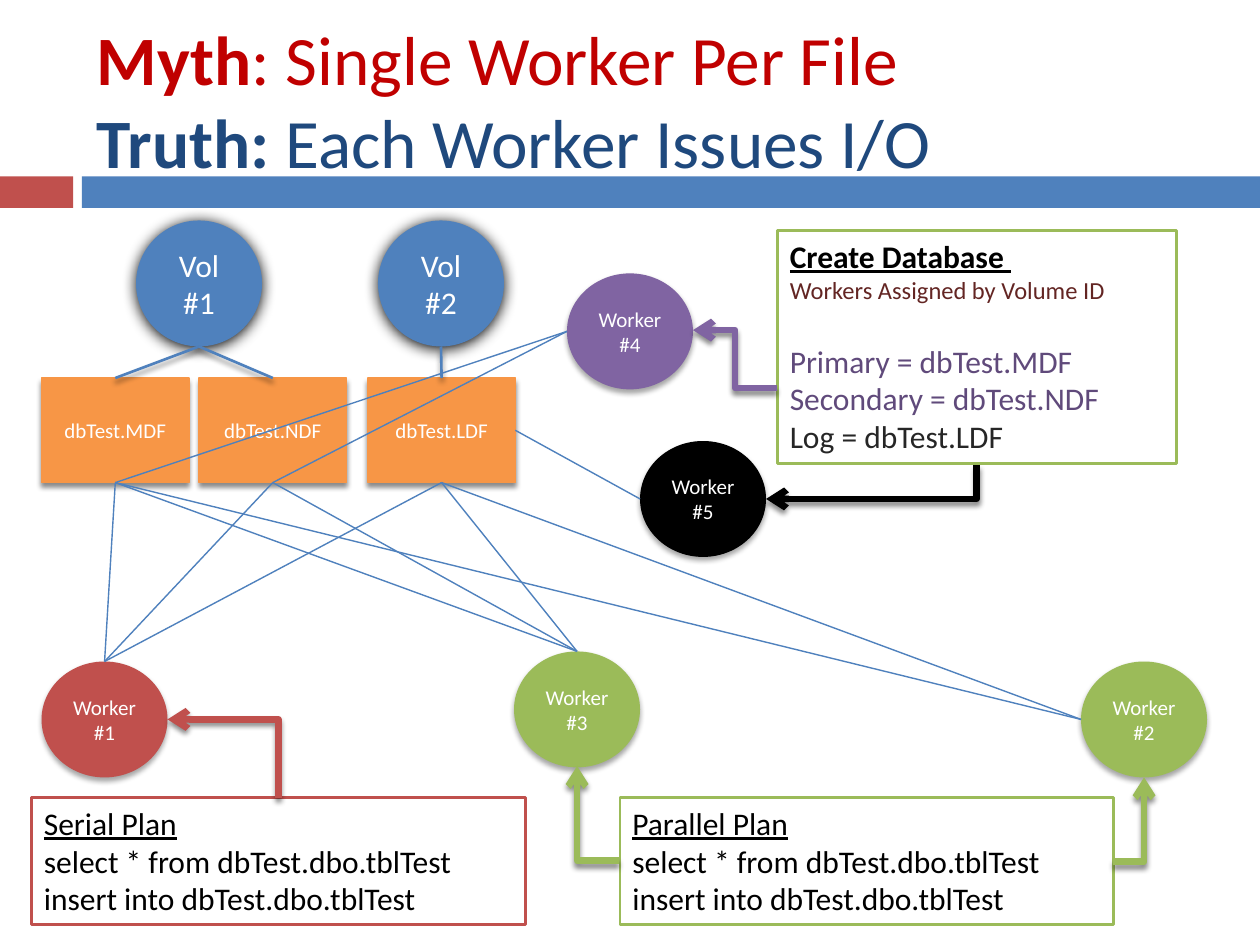
from dataclasses import dataclass

from lxml import etree
from pptx import Presentation
from pptx.dml.color import RGBColor
from pptx.enum.shapes import MSO_CONNECTOR, MSO_SHAPE
from pptx.enum.text import MSO_ANCHOR, PP_ALIGN
from pptx.oxml.ns import qn
from pptx.util import Inches, Pt

OVAL, RECTANGLE = MSO_SHAPE.OVAL, MSO_SHAPE.RECTANGLE
STRAIGHT, ELBOW = MSO_CONNECTOR.STRAIGHT, MSO_CONNECTOR.ELBOW
TOP, MIDDLE = MSO_ANCHOR.TOP, MSO_ANCHOR.MIDDLE
LEFT, CENTER = PP_ALIGN.LEFT, PP_ALIGN.CENTER

WHITE = RGBColor(0xFF, 0xFF, 0xFF)
BLACK = RGBColor(0x00, 0x00, 0x00)
CHARCOAL = RGBColor(0x26, 0x26, 0x26)
RED = RGBColor(0xC0, 0x50, 0x4D)
MYTH_RED = RGBColor(0xC0, 0x00, 0x00)
MAROON = RGBColor(0x63, 0x25, 0x23)
BLUE = RGBColor(0x4F, 0x81, 0xBD)
NAVY = RGBColor(0x1F, 0x49, 0x7D)
ORANGE = RGBColor(0xF7, 0x96, 0x46)
GREEN = RGBColor(0x9B, 0xBB, 0x59)
PURPLE = RGBColor(0x80, 0x64, 0xA2)
DARK_PURPLE = RGBColor(0x60, 0x4A, 0x7B)

FONT = "Calibri"
THIN, MEDIUM, THICK = 0.79, 1.5, 3.75


@dataclass(frozen=True)
class Shadow:
    """Downward outer shadow: opacity in percent, lengths in points."""
    opacity: int
    blur: float
    distance: float


@dataclass(frozen=True)
class Run:
    """Stretch of text in one format."""
    text: str
    size: float = 18
    color: RGBColor = BLACK
    bold: bool = False
    underline: bool = False


@dataclass(frozen=True)
class Line:
    """One line of text with the gap below it in points."""
    runs: tuple[Run, ...]
    gap: float = 0


@dataclass(frozen=True)
class Box:
    """Position and size in inches."""
    left: float
    top: float
    width: float
    height: float


@dataclass(frozen=True)
class Node:
    """Labelled shape of the diagram."""
    label: str
    box: Box
    color: RGBColor


@dataclass(frozen=True)
class Arrow:
    """Elbow arrow, given by its frame before rotation."""
    box: Box
    color: RGBColor
    rotation: int = 0
    flip: bool = False
    preset: str = "bentConnector2"


WORKER_SHADOW = Shadow(35, 3, 2)
VOLUME_SHADOW = Shadow(100, 8.5, 1)
EDGE_SHADOW = Shadow(45, 3, 2.4)

VOLUMES = [Node(f"Vol #{number}", Box(left, 1.75, 1, 1), BLUE)
           for number, left in ((1, 1.08), (2, 3))]
FILES = [Node(f"dbTest.{extension}", Box(left, 3, 1.17, 0.83), ORANGE)
         for extension, left in (("MDF", 0.33), ("NDF", 1.58), ("LDF", 2.92))]
WORKERS = [Node(f"Worker #{number}", Box(left, top, 1, 0.92), color)
           for number, left, top, color in (
               (1, 0.33, 5.25, RED), (2, 8.58, 5.25, GREEN), (3, 4.08, 5.17, GREEN),
               (4, 4.5, 2.17, PURPLE), (5, 5.08, 3.5, BLACK))]

TITLE = [
    Line((Run("Myth", 39.6, MYTH_RED, True), Run(": Single Worker Per File", 39.6, MYTH_RED))),
    Line((Run("Truth: ", 39.6, NAVY, True), Run("Each Worker Issues I/O", 39.6, NAVY))),
]
QUERY = [Line((Run("select * from dbTest.dbo.tblTest"),)),
         Line((Run("insert into dbTest.dbo.tblTest"),))]
CREATION = [
    Line((Run("Create Database ", bold=True, underline=True),)),
    Line((Run("Workers Assigned by Volume ID", 14, MAROON),), 21.5),
    Line((Run("Primary = dbTest.MDF", color=DARK_PURPLE),)),
    Line((Run("Secondary = dbTest.NDF", color=DARK_PURPLE),)),
    Line((Run("Log = dbTest.LDF", color=CHARCOAL),)),
]
PANELS = [
    (Box(0.25, 6.33, 3.92, 1.01), RED, [Line((Run("Serial Plan", underline=True),)), *QUERY]),
    (Box(4.92, 6.33, 3.92, 1.01), GREEN, [Line((Run("Parallel Plan", underline=True),)), *QUERY]),
    (Box(6.17, 1.83, 3.17, 1.85), GREEN, CREATION),
]
ARROWS = [
    Arrow(Box(1.46, 5.58, 0.62, 0.88), RED, 270, True),
    Arrow(Box(8.83, 6.17, 0.25, 0.67), GREEN, 0, True),
    Arrow(Box(4.58, 6.08, 0.33, 0.75), GREEN, 180),
    Arrow(Box(5.5, 2.62, 0.67, 0.46), PURPLE, 180, False, "bentConnector3"),
    Arrow(Box(6.78, 2.99, 0.27, 1.67), BLACK, 90),
]
VOLUME_LINKS = {"Vol #1": ("MDF", "NDF"), "Vol #2": ("LDF",)}
WORKER_LINKS = [
    ("Worker #1", "top", ("MDF", "NDF", "LDF"), "bottom"),
    ("Worker #3", "top", ("MDF", "NDF", "LDF"), "bottom"),
    ("Worker #4", "left", ("MDF", "NDF"), "bottom"),
    ("Worker #2", "left", ("MDF", "LDF"), "bottom"),
    ("Worker #5", "left", ("LDF",), "right"),
]
SIDES = {"top": (0.5, 0), "bottom": (0.5, 1), "left": (0, 0.5), "right": (1, 0.5)}


def frame(box: Box) -> tuple:
    """Return the box as lengths."""
    return Inches(box.left), Inches(box.top), Inches(box.width), Inches(box.height)


def anchor(box: Box, side: str) -> tuple:
    """Return the middle of one side of the box."""
    across, down = SIDES[side]
    return Inches(box.left + across * box.width), Inches(box.top + down * box.height)


def add_shadow(effects, shadow: Shadow) -> None:
    """Fill an effect list with an outer shadow."""
    outer = etree.SubElement(effects, qn("a:outerShdw"), blurRad=str(Pt(shadow.blur)),
                             dist=str(Pt(shadow.distance)), dir="5400000", rotWithShape="0")
    color = etree.SubElement(outer, qn("a:srgbClr"), val=str(BLACK))
    etree.SubElement(color, qn("a:alpha"), val=str(shadow.opacity * 1000))


def write_lines(shape, lines: list[Line], alignment=LEFT, vertical=TOP) -> None:
    """Write formatted lines into a shape."""
    text_frame = shape.text_frame
    text_frame.word_wrap = True
    text_frame.vertical_anchor = vertical
    for index, line in enumerate(lines):
        paragraph = text_frame.add_paragraph() if index else text_frame.paragraphs[0]
        paragraph.alignment = alignment
        paragraph.space_after = Pt(line.gap)
        for part in line.runs:
            run = paragraph.add_run()
            run.text = part.text
            run.font.color.rgb = part.color
            values = {"name": FONT, "size": Pt(part.size), "bold": part.bold,
                      "underline": part.underline}
            for name, value in values.items():
                setattr(run.font, name, value)


def add_block(slide, kind, box: Box, fill: RGBColor, outline: RGBColor | None = None,
              width: float = THIN, shadow: Shadow | None = None):
    """Add a filled shape with optional outline and shadow."""
    shape = slide.shapes.add_shape(kind, *frame(box))
    shape.fill.solid()
    shape.fill.fore_color.rgb = fill
    if outline is None:
        shape.line.fill.background()
    else:
        shape.line.color.rgb = outline
        shape.line.width = Pt(width)
    shape.shadow.inherit = False
    if shadow:
        add_shadow(shape._element.spPr.find(qn("a:effectLst")), shadow)
    return shape


def add_nodes(slide, nodes: list[Node], kind, size: float, shadow: Shadow,
              outline: RGBColor | None = None) -> None:
    """Add a family of centred, labelled shapes."""
    for node in nodes:
        shape = add_block(slide, kind, node.box, node.color, outline, shadow=shadow)
        write_lines(shape, [Line((Run(node.label, size, WHITE),))], CENTER, MIDDLE)


def add_link(slide, kind, start: tuple, end: tuple, color: RGBColor, width: float,
             shadow: Shadow | None = None):
    """Add a connector between two points."""
    connector = slide.shapes.add_connector(kind, *start, *end)
    connector.line.color.rgb = color
    connector.line.width = Pt(width)
    effects = etree.SubElement(connector._element.spPr, qn("a:effectLst"))
    if shadow:
        add_shadow(effects, shadow)
    return connector


def add_arrow(slide, arrow: Arrow) -> None:
    """Add an elbow connector with an open arrowhead."""
    left, top, width, height = frame(arrow.box)
    connector = add_link(slide, ELBOW, (left, top), (left + width, top + height),
                         arrow.color, THICK, EDGE_SHADOW)
    properties = connector._element.spPr
    properties.find(qn("a:prstGeom")).set("prst", arrow.preset)
    transform = properties.find(qn("a:xfrm"))
    transform.set("rot", str(arrow.rotation * 60000))
    transform.set("flipV", str(int(arrow.flip)))
    etree.SubElement(properties.find(qn("a:ln")), qn("a:tailEnd"), type="arrow")


def main() -> None:
    """Build and save the slide."""
    presentation = Presentation()
    presentation.slide_width, presentation.slide_height = Inches(10), Inches(7.5)
    slide = presentation.slides.add_slide(presentation.slide_layouts[6])
    add_block(slide, RECTANGLE, Box(0, 1.4, 0.58, 0.25), RED)
    add_block(slide, RECTANGLE, Box(0.65, 1.4, 9.35, 0.25), BLUE)
    title = slide.shapes.add_textbox(*frame(Box(0.67, 0.25, 8.92, 1.08)))
    write_lines(title, TITLE, vertical=MIDDLE)

    add_nodes(slide, VOLUMES, OVAL, 18, VOLUME_SHADOW)
    add_nodes(slide, FILES, RECTANGLE, 12, EDGE_SHADOW, ORANGE)
    boxes = {node.label: node.box for node in VOLUMES + FILES + WORKERS}
    for volume, extensions in VOLUME_LINKS.items():
        for extension in extensions:
            add_link(slide, STRAIGHT, anchor(boxes[volume], "bottom"),
                     anchor(boxes[f"dbTest.{extension}"], "top"), BLUE, MEDIUM, EDGE_SHADOW)
    for box, color, lines in PANELS:
        write_lines(add_block(slide, RECTANGLE, box, WHITE, color, MEDIUM), lines)
    add_nodes(slide, WORKERS, OVAL, 12, WORKER_SHADOW)
    for arrow in ARROWS:
        add_arrow(slide, arrow)
    for worker, side, extensions, file_side in WORKER_LINKS:
        for extension in extensions:
            add_link(slide, STRAIGHT, anchor(boxes[worker], side),
                     anchor(boxes[f"dbTest.{extension}"], file_side), BLUE, THIN)
    presentation.save("out.pptx")


if __name__ == "__main__":
    main()
